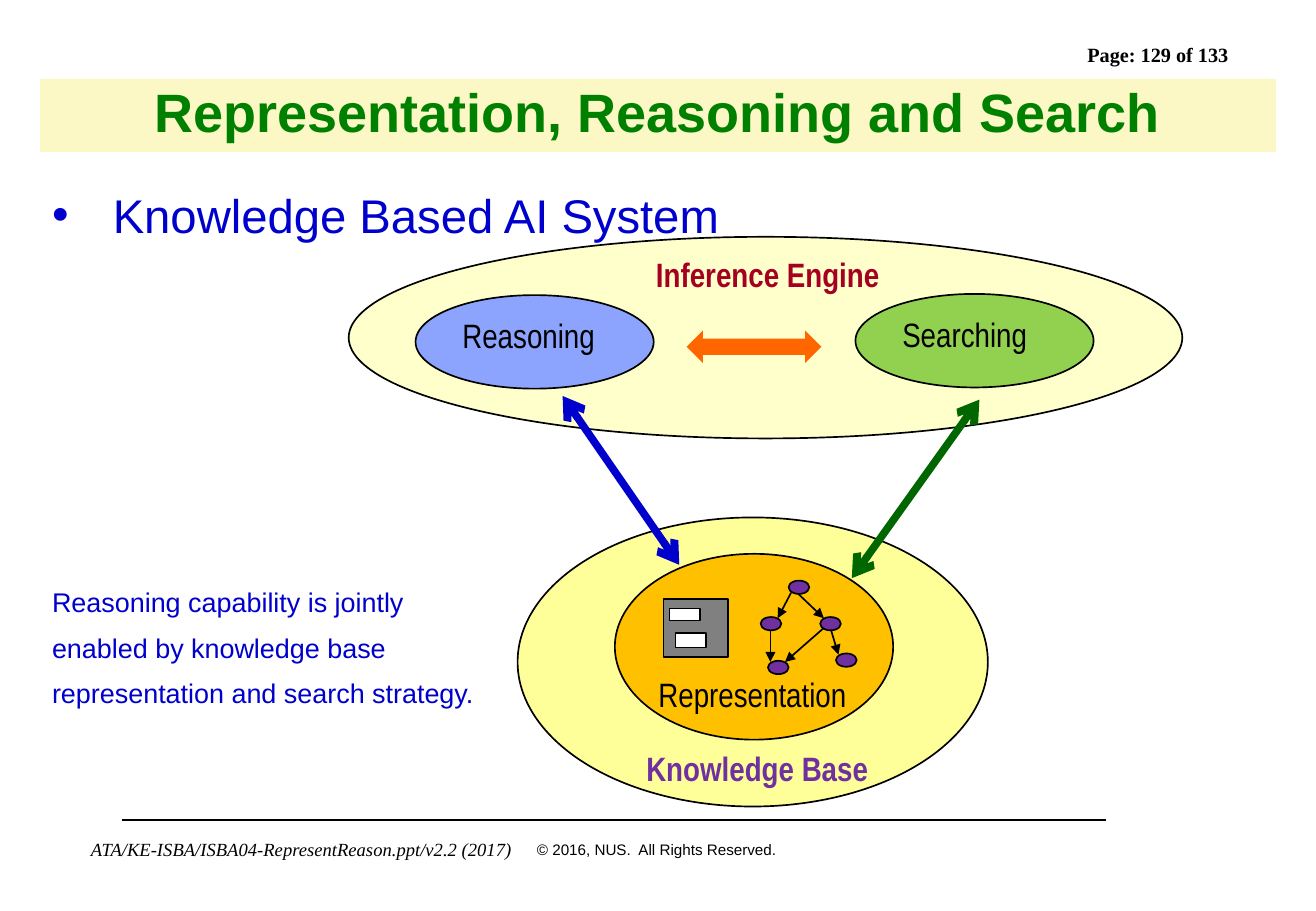
from lxml.etree import SubElement
from pptx import Presentation
from pptx.dml.color import RGBColor
from pptx.enum.shapes import MSO_CONNECTOR, MSO_SHAPE
from pptx.enum.text import MSO_ANCHOR, PP_ALIGN
from pptx.oxml.ns import qn
from pptx.util import Pt

PX = 9144
NARROW = {"name": "Arial Narrow", "size": Pt(20)}
SERIF = {"name": "Times New Roman"}
BODY = {"name": "Arial"}


def emu(*lengths):
    """Turn px lengths into EMU."""
    return [round(length * PX) for length in lengths]


def rgb(code):
    """Turn a hex string into a colour."""
    return RGBColor.from_string(code)


def write(tf, lines, font, color="000000", wrap=True, **para):
    """Write lines into a text frame, one paragraph each."""
    tf.word_wrap = wrap
    for i, line in enumerate(lines):
        p = tf.paragraphs[0] if i == 0 else tf.add_paragraph()
        for name, value in para.items():
            if i or name != "space_before":
                setattr(p, name, value)
        r = p.add_run()
        r.text = line
        for name, value in font.items():
            setattr(r.font, name, value)
        r.font.color.rgb = rgb(color)


def label(s, box, lines, font, color="000000", **fmt):
    """Add a text box and return its frame."""
    tf = s.shapes.add_textbox(*emu(*box)).text_frame
    write(tf, lines, font, color, **fmt)
    return tf


def shape(s, kind, box, fill, outlined=True):
    """Add a flat preset shape."""
    sp = s.shapes.add_shape(kind, *emu(*box))
    sp.shadow.inherit = False
    sp.fill.solid()
    sp.fill.fore_color.rgb = rgb(fill)
    if outlined:
        sp.line.color.rgb = rgb("000000")
        sp.line.width = Pt(1)
    else:
        sp.line.fill.background()
    return sp


def line(s, start, end, color="000000", width=1, **ends):
    """Add a straight line with optional arrowheads."""
    cn = s.shapes.add_connector(MSO_CONNECTOR.STRAIGHT, *emu(*start, *end))
    cn.line.color.rgb = rgb(color)
    cn.line.width = Pt(width)
    spPr = cn.element.spPr
    ln = spPr.find(qn("a:ln"))
    for tag, kind in ends.items():
        SubElement(ln, qn(f"a:{tag}"), type=kind)
    SubElement(spPr, qn("a:effectLst"))


def title(s, x, y, w, h):
    """Format the title placeholder as a band."""
    sp = s.shapes.title
    sp.left, sp.top, sp.width, sp.height = emu(x, y, w, h)
    sp.fill.solid()
    sp.fill.fore_color.rgb = rgb("FBF8C5")
    tf = sp.text_frame
    tf.vertical_anchor = MSO_ANCHOR.MIDDLE
    write(tf, ["Representation, Reasoning and Search"],
          {**BODY, "size": Pt(32), "bold": True}, "008000",
          alignment=PP_ALIGN.CENTER, line_spacing=0.9)


def body(s, x, y, w, h):
    """Place the bullet and the remark at the left."""
    tf = label(s, (x, y, w, 60), ["Knowledge Based AI System"],
               {**BODY, "size": Pt(28)}, "0000CC", line_spacing=1.2)
    pPr = tf.paragraphs[0]._p.get_or_add_pPr()
    pPr.set("marL", str(50 * PX))
    pPr.set("indent", str(-50 * PX))
    SubElement(pPr, qn("a:buFont"), typeface="Arial")
    SubElement(pPr, qn("a:buChar"), char="•")
    label(s, (x, y + h - 120, 400, 120),
          ["Reasoning capability is jointly", "enabled by knowledge base",
           "representation and search strategy."],
          {**BODY, "size": Pt(16)}, "0000CC",
          line_spacing=1.2, space_before=Pt(4))


def inference_engine(s, x, y, w, h):
    """Draw the engine with reasoning and searching inside."""
    shape(s, MSO_SHAPE.OVAL, (x, y, w, h), "FFFFCC")
    for text, dx, dy, fill in (("Reasoning", 55, 48, "8CA4FD"),
                               ("Searching", 417, 47, "92D050")):
        sp = shape(s, MSO_SHAPE.OVAL, (x + dx, y + dy, 196, 77), fill)
        sp.text_frame.vertical_anchor = MSO_ANCHOR.TOP
        write(sp.text_frame, [text], NARROW, alignment=PP_ALIGN.LEFT)
    shape(s, MSO_SHAPE.LEFT_RIGHT_ARROW, (x + 278, y + 77, 111, 27), "FF6600", False)
    label(s, (x + 243, y + 9, 208, 44), ["Inference Engine"],
          {**NARROW, "bold": True}, "A50021")


def frame_icon(s, x, y, w, h):
    """Draw a grey panel with two slots."""
    shape(s, MSO_SHAPE.RECTANGLE, (x, y, w, h), "808080")
    for dx, dy, slot in ((5, 8, 10), (10, 28, 12)):
        shape(s, MSO_SHAPE.RECTANGLE, (x + dx, y + dy, 25, slot), "FFFFFF")


def network_icon(s, x, y):
    """Draw five nodes joined by arrows."""
    for dx, dy in ((49, 30), (0, 30), (62, 60), (23, 0), (6, 66)):
        shape(s, MSO_SHAPE.OVAL, (x + dx, y + dy, 17, 11), "7030A0")
    for x1, y1, x2, y2 in ((25, 10, 14, 31), (31, 11, 52, 31), (8, 41, 8, 67),
                           (52, 39, 20, 67), (58, 41, 64, 61)):
        line(s, (x + x1, y + y1), (x + x2, y + y2), tailEnd="triangle")


def knowledge_base(s, x, y, w, h):
    """Draw the knowledge base with its representation."""
    shape(s, MSO_SHAPE.OVAL, (x, y, w, h), "FFFF99")
    shape(s, MSO_SHAPE.OVAL, (x + 80, y + 30, 229, 153), "FFC000")
    frame_icon(s, x + 120, y + 67, 53, 48)
    network_icon(s, x + 200, y + 52)
    label(s, (x + 106, y + 124, 185, 44), ["Representation"], NARROW)
    label(s, (x + 96, y + 185, 208, 44), ["Knowledge Base"],
          {**NARROW, "bold": True}, "7030A0")


def links(s, x, y):
    """Join the engine and the knowledge base."""
    for start, end, color in (((96, 139), (0, 0), "0000CC"),
                              ((343, 3), (238, 150), "006600")):
        line(s, (x + start[0], y + start[1]), (x + end[0], y + end[1]),
             color, 4.5, headEnd="arrow", tailEnd="arrow")


def footer(s, x, y):
    """Place the rule, the file name and the copyright line."""
    line(s, (x + 35, y), (x + 845, y))
    label(s, (x, y + 10, 370, 28), ["ATA/KE-ISBA/ISBA04-RepresentReason.ppt/v2.2 (2017)"],
          {**SERIF, "size": Pt(11), "italic": True}, wrap=False)
    label(s, (x + 367, y + 12, 219, 25), ["© 2016, NUS.  All Rights Reserved."],
          {**BODY, "size": Pt(9)}, wrap=False)


def main():
    """Build the slide and save it."""
    prs = Presentation()
    prs.slide_width, prs.slide_height = emu(1083, 750)
    s = prs.slides.add_slide(prs.slide_layouts[5])
    footer(s, 65, 675)
    label(s, (885, 30, 161, 30), ["Page: 129 of 133"],
          {**SERIF, "size": Pt(12), "bold": True})
    title(s, 33, 65, 1017, 60)
    inference_engine(s, 287, 195, 686, 166)
    knowledge_base(s, 426, 426, 387, 238)
    links(s, 463, 326)
    body(s, 33, 139, 1017, 453)
    prs.save("out.pptx")


if __name__ == "__main__":
    main()
